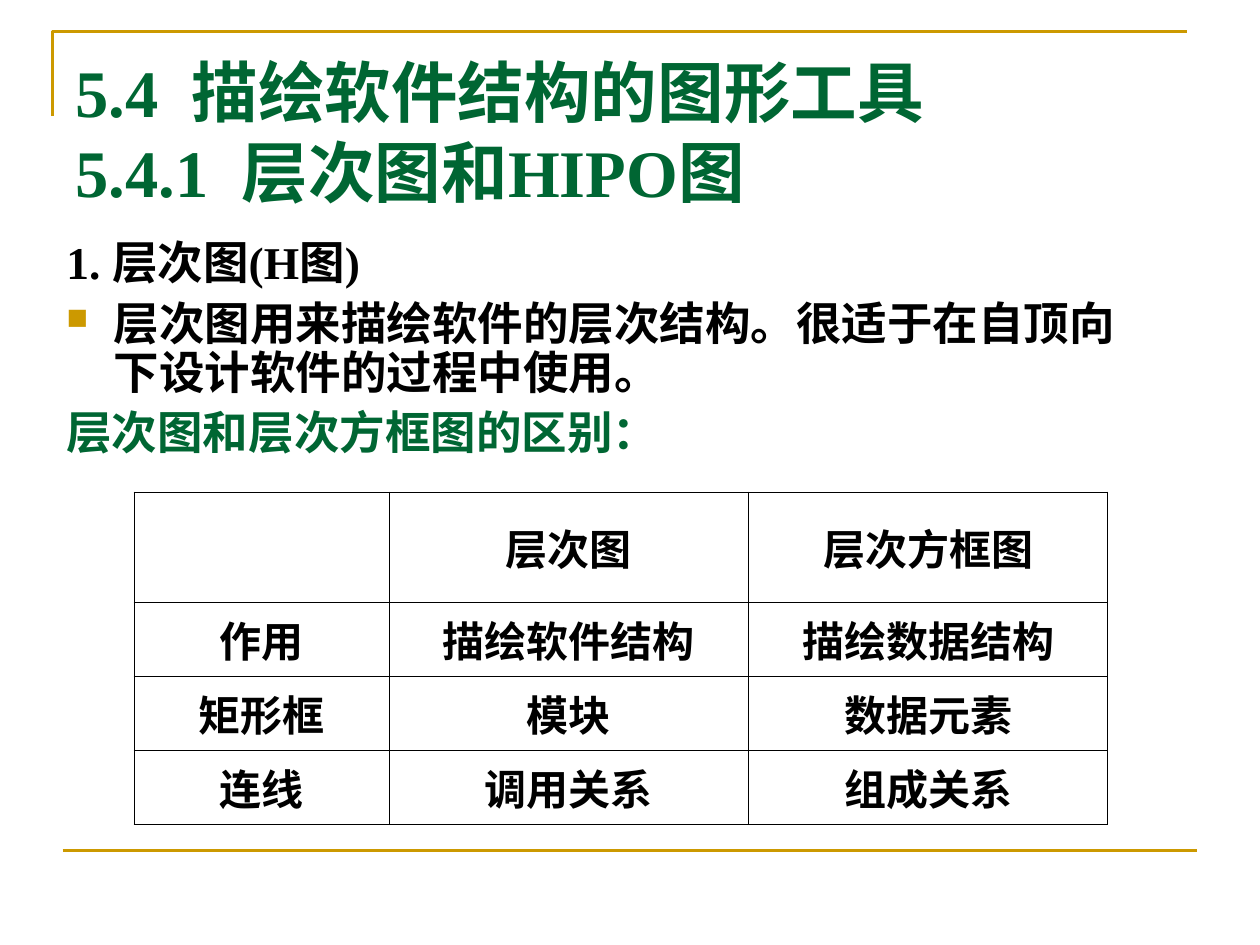
from dataclasses import dataclass

from lxml import etree
from pptx import Presentation
from pptx import util as u
from pptx.dml.color import RGBColor
from pptx.enum import shapes, text
from pptx.oxml import ns


@dataclass(frozen=True)
class Theme:
    font: str = "Times New Roman"
    ink: str = "000000"
    green: str = "006633"
    gold: str = "CC9900"
    title: int = 38
    body: int = 26
    cell: int = 24
    rule: float = 1.5
    border: float = 0.45


T = Theme()
BODY = [  # text, colour, bulleted
    ("1. 层次图(H图)", T.ink, False),
    ("层次图用来描绘软件的层次结构。很适于在自顶向下设计软件的过程中使用。", T.ink, True),
    ("层次图和层次方框图的区别：", T.green, False),
]
COMPARISON = [
    ("", "层次图", "层次方框图"),
    ("作用", "描绘软件结构", "描绘数据结构"),
    ("矩形框", "模块", "数据元素"),
    ("连线", "调用关系", "组成关系"),
]


def sub(parent, tag, **attrs):
    return etree.SubElement(parent, ns.qn(tag), attrs)


def style_runs(p, size, color):
    for r in p.runs:
        r.font.name, r.font.size, r.font.bold = T.font, u.Pt(size), True
        r.font.color.rgb = RGBColor.from_string(color)


def gold_line(sp):
    sp.line.color.rgb = RGBColor.from_string(T.gold)
    sp.line.width = u.Pt(T.rule)


def text_frame(s, x, y, w, h, anchor):
    tf = s.shapes.add_textbox(u.Cm(x), u.Cm(y), u.Cm(w), u.Cm(h)).text_frame
    tf.word_wrap = True
    tf.vertical_anchor = anchor
    return tf


def add_frame(s, x, y, w, h):
    """Corner bracket at the top left and a rule along the bottom."""
    arm, shift = 1.7, 0.2
    corner = s.shapes.build_freeform(u.Cm(x), u.Cm(y + arm))
    corner.add_line_segments([(u.Cm(x), u.Cm(y)), (u.Cm(x + w), u.Cm(y))], close=False)
    bracket = corner.convert_to_shape()
    bracket.shadow.inherit = False
    bracket.fill.background()
    gold_line(bracket)

    rule = s.shapes.add_connector(
        shapes.MSO_CONNECTOR.STRAIGHT,
        u.Cm(x + shift), u.Cm(y + h), u.Cm(x + shift + w), u.Cm(y + h))
    gold_line(rule)
    sub(rule._element.spPr, "a:effectLst")


def add_title(s, x, y, w, h):
    p = text_frame(s, x, y, w, h, text.MSO_ANCHOR.MIDDLE).paragraphs[0]
    p.text = "5.4  描绘软件结构的图形工具\v5.4.1  层次图和HIPO图"
    style_runs(p, T.title, T.green)


def add_body(s, x, y, w, h):
    tf = text_frame(s, x, y, w, h, text.MSO_ANCHOR.TOP)
    tf.text = "\n".join(line for line, _, _ in BODY)
    hang = u.Cm(0.95)
    for p, (_, color, bulleted) in zip(tf.paragraphs, BODY):
        p.line_spacing, p.space_before = 0.9, u.Pt(6.5)
        style_runs(p, T.body, color)
        # Hanging indent and square bullet
        pPr = p._p.get_or_add_pPr()
        pPr.set("marL", str(hang))
        pPr.set("indent", str(-hang))
        if bulleted:
            sub(sub(pPr, "a:buClr"), "a:srgbClr", val=T.gold)
            sub(pPr, "a:buSzPct", val="65000")
            sub(pPr, "a:buChar", char="■")
        else:
            sub(pPr, "a:buNone")


def add_borders(cell):
    tcPr = cell._tc.get_or_add_tcPr()
    for side in ("a:lnL", "a:lnR", "a:lnT", "a:lnB"):
        ln = sub(tcPr, side, w=str(u.Pt(T.border)))
        sub(sub(ln, "a:solidFill"), "a:srgbClr", val=T.ink)


def add_comparison(s, x, y, w, h):
    """Table with a wide pair of value columns and a tall header row."""
    label_w, header_h = 5.15, 2.22
    n_rows, n_cols = len(COMPARISON), len(COMPARISON[0])
    table = s.shapes.add_table(
        n_rows, n_cols, u.Cm(x), u.Cm(y), u.Cm(w), u.Cm(h)).table
    table.first_row = table.horz_banding = False
    for i, col in enumerate(table.columns):
        col.width = u.Cm((w - label_w) / (n_cols - 1) if i else label_w)
    for i, row in enumerate(table.rows):
        row.height = u.Cm((h - header_h) / (n_rows - 1) if i else header_h)
        for cell, value in zip(row.cells, COMPARISON[i]):
            add_borders(cell)
            cell.fill.background()
            cell.vertical_anchor = text.MSO_ANCHOR.MIDDLE
            p = cell.text_frame.paragraphs[0]
            p.text, p.alignment = value, text.PP_ALIGN.CENTER
            style_runs(p, T.cell, T.ink)


def main():
    prs = Presentation()
    prs.slide_width, prs.slide_height = u.Cm(25.4), u.Cm(19.05)
    s = prs.slides.add_slide(prs.slide_layouts[6])
    add_frame(s, 1.06, 0.64, 22.86, 16.51)
    add_title(s, 1.27, 0.76, 22.86, 3.76)
    add_body(s, 1.09, 4.72, 22.23, 5)
    add_comparison(s, 2.7, 9.92, 19.63, 6.7)
    prs.save("out.pptx")


if __name__ == "__main__":
    main()
